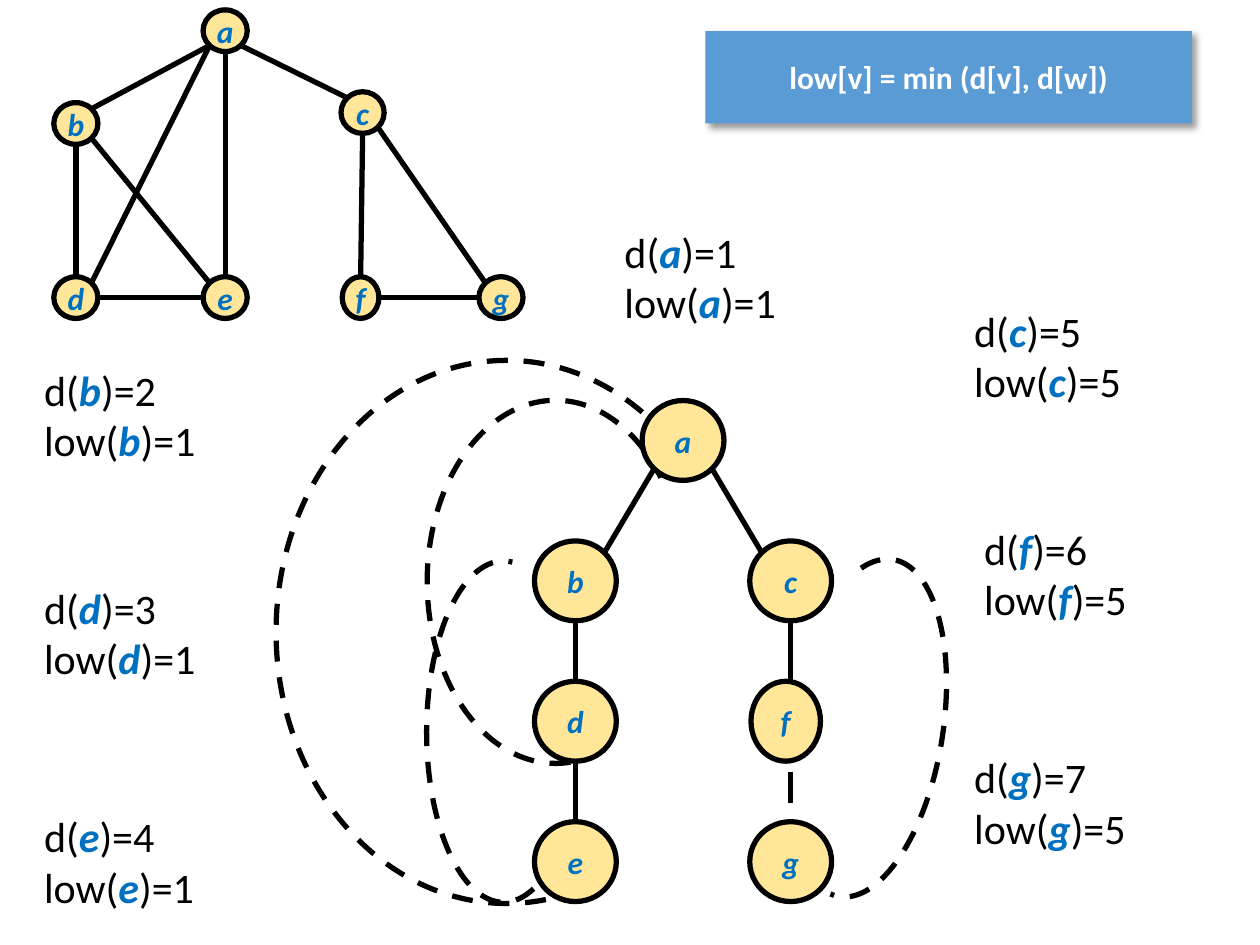
import itertools
import math

import lxml.etree
import pptx
import pptx.dml.color
import pptx.enum.dml
import pptx.enum.shapes
import pptx.enum.text
import pptx.oxml.ns
import pptx.util

Cm = pptx.util.Cm
Pt = pptx.util.Pt
qn = pptx.oxml.ns.qn

COLOURS = {
    "ink": "000000",
    "letter": "0070C0",
    "node": "FFE699",
    "banner": "5B9BD5",
    "banner_text": "FFFFFF",
}
FONT = "Calibri"
E, SE, S, SW, W, NW, N, NE = range(0, 360, 45)

TREE_TOP, TREE_STEP = 8.88, 2.83
TREE_NODES = {
    "a": (13.77, 0, 1.65),
    "b": (11.6, 1, 1.65),
    "d": (11.6, 2, 1.65),
    "e": (11.6, 3, 1.65),
    "c": (15.94, 1, 1.65),
    "f": (15.84, 2, 1.4),
    "g": (15.94, 3, 1.65),
}
TREE_EDGES = [("a", SW, "b", NE), ("b", S, "d", N), ("d", S, "e", N), ("a", SE, "c", NW)]
TREE_STUBS = [(15.94, 12.54, 13.76), (15.94, 15.57, 16.18)]
BACK_EDGES = [
    (3.99, 8.84, 10.95, 7.8, 4.65, -18.8, 222.7, 90),
    (7.31, 9.37, 7.32, 4.72, 2.59, -22.5, 235, 90),
    (6.24, 13.67, 6.88, 2.16, 1.55, -23, 186.6, 90),
    (14.48, 13.67, 6.88, 2.16, 1.55, -23, 186.6, 279.1),
]

GRAPH_NODES = {
    "a": (4.54, 0.62, 0.89),
    "b": (1.53, 2.49, 0.89),
    "c": (7.31, 2.27, 0.87),
    "d": (1.53, 6, 0.89),
    "e": (4.54, 6, 0.89),
    "f": (7.27, 6, 0.74),
    "g": (10.1, 6, 0.89),
}
GRAPH_EDGES = [
    ("b", S, "d", N), ("a", S, "e", N), ("d", E, "e", W), ("b", NE, "a", SW),
    ("d", NE, "a", SW), ("b", SE, "e", NW), ("a", SE, "c", NW), ("c", S, "f", N),
    ("f", E, "g", W), ("c", SE, "g", NW),
]

LABELS = [
    ("a", 1, 1, 12.34, 4.44),
    ("b", 2, 1, 0.64, 7.22),
    ("c", 5, 5, 19.39, 6.03),
    ("d", 3, 1, 0.64, 11.62),
    ("e", 4, 1, 0.64, 16.22),
    ("f", 6, 5, 19.59, 10.43),
    ("g", 7, 5, 19.39, 15.03),
]


def rgb(name):
    return pptx.dml.color.RGBColor.from_string(COLOURS[name])


def add_run(paragraph, text, size, colour, bold=False, italic=False):
    run = paragraph.add_run()
    run.text = text
    run.font.name = FONT
    run.font.size = Pt(size)
    run.font.bold = bold
    run.font.italic = italic
    run.font.color.rgb = rgb(colour)


def style_line(line):
    line.color.rgb = rgb("ink")
    line.width = Pt(3)


def add_node(group, letter, x, y, width, height):
    node = group.shapes.add_shape(
        pptx.enum.shapes.MSO_SHAPE.OVAL,
        Cm(x - width / 2), Cm(y - height / 2), Cm(width), Cm(height))
    node.shadow.inherit = False
    node.fill.solid()
    node.fill.fore_color.rgb = rgb("node")
    style_line(node.line)
    frame = node.text_frame
    frame.word_wrap = False
    frame.vertical_anchor = pptx.enum.text.MSO_ANCHOR.MIDDLE
    frame.paragraphs[0].alignment = pptx.enum.text.PP_ALIGN.CENTER
    add_run(frame.paragraphs[0], letter, 18, "letter", True, True)


def add_edge(group, start, end):
    edge = group.shapes.add_connector(
        pptx.enum.shapes.MSO_CONNECTOR.STRAIGHT,
        Cm(start[0]), Cm(start[1]), Cm(end[0]), Cm(end[1]))
    style_line(edge.line)
    lxml.etree.SubElement(edge._element.spPr, qn("a:effectLst"))


def rim_point(x, y, width, height, angle):
    turn = math.radians(angle)
    return x + width / 2 * math.cos(turn), y + height / 2 * math.sin(turn)


def add_network(group, nodes, edges, height):
    for letter, (x, y, width) in nodes.items():
        add_node(group, letter, x, y, width, height)
    for first, leave, second, arrive in edges:
        add_edge(group, rim_point(*nodes[first], height, leave),
                 rim_point(*nodes[second], height, arrive))


def add_path_step(outline, tag, points):
    step = lxml.etree.SubElement(outline, qn(tag))
    for x, y in points:
        lxml.etree.SubElement(step, qn("a:pt"), x=str(int(Cm(x))), y=str(int(Cm(y))))


def trace_arc(outline, ellipse, angles):
    x, y, width, height = ellipse
    add_path_step(outline, "a:moveTo", [rim_point(*ellipse, angles[0])])
    for start, end in itertools.pairwise(angles):
        pull = 4 / 3 * math.tan(math.radians(end - start) / 4)
        x1, y1 = rim_point(*ellipse, start)
        x2, y2 = rim_point(*ellipse, end)
        dx1, dy1 = rim_point(0, 0, width * pull, height * pull, start + 90)
        dx2, dy2 = rim_point(0, 0, width * pull, height * pull, end + 90)
        add_path_step(outline, "a:cubicBezTo",
                      [(x1 + dx1, y1 + dy1), (x2 - dx2, y2 - dy2), (x2, y2)])


def add_back_edge(group, left, top, width, height, radius, start, end, rotation):
    builder = group.shapes.build_freeform(Cm(left), Cm(top))
    builder.add_line_segments([(Cm(left + width), Cm(top + height))], close=False)
    curve = builder.convert_to_shape()
    outline = next(curve._element.iter(qn("a:path")))
    for step in list(outline):
        outline.remove(step)
    trace_arc(outline, (width / 2, height - radius, width, 2 * radius),
              (start, 0, 90, 180, end))
    curve.shadow.inherit = False
    curve.fill.background()
    style_line(curve.line)
    curve.line.dash_style = pptx.enum.dml.MSO_LINE.DASH
    curve.rotation = rotation


def add_label(group, letter, depth, low, left, top):
    label = group.shapes.add_textbox(Cm(left), Cm(top), Cm(5.59), Cm(2.31))
    frame = label.text_frame
    frame.word_wrap = True
    frame.auto_size = pptx.enum.text.MSO_AUTO_SIZE.SHAPE_TO_FIT_TEXT
    lines = (frame.paragraphs[0], frame.add_paragraph())
    for line, name, value in zip(lines, ("d", "low"), (depth, low)):
        add_run(line, f"{name}(", 24, "ink")
        add_run(line, letter, 24, "letter", True, True)
        add_run(line, f")={value}", 24, "ink")


def add_banner(slide, text):
    banner = slide.shapes.add_shape(
        pptx.enum.shapes.MSO_SHAPE.RECTANGLE, Cm(14.22), Cm(0.63), Cm(9.81), Cm(1.86))
    banner.fill.solid()
    banner.fill.fore_color.rgb = rgb("banner")
    banner.line.fill.background()
    banner.shadow.inherit = False
    effects = banner._element.spPr.find(qn("a:effectLst"))
    shadow = lxml.etree.SubElement(
        effects, qn("a:outerShdw"), blurRad=str(Pt(4)), dist=str(Pt(3)),
        dir="2700000", algn="tl", rotWithShape="0")
    tint = lxml.etree.SubElement(shadow, qn("a:srgbClr"), val=COLOURS["ink"])
    lxml.etree.SubElement(tint, qn("a:alpha"), val="40000")
    frame = banner.text_frame
    frame.word_wrap = True
    frame.vertical_anchor = pptx.enum.text.MSO_ANCHOR.MIDDLE
    frame.paragraphs[0].alignment = pptx.enum.text.PP_ALIGN.CENTER
    add_run(frame.paragraphs[0], text, 18, "banner_text", True)


def main():
    deck = pptx.Presentation()
    deck.slide_width, deck.slide_height = Cm(25.4), Cm(19.05)
    slide = deck.slides.add_slide(deck.slide_layouts[6])

    tree = slide.shapes.add_group_shape()
    for back_edge in BACK_EDGES:
        add_back_edge(tree, *back_edge)
    tree_nodes = {letter: (x, TREE_TOP + level * TREE_STEP, width)
                  for letter, (x, level, width) in TREE_NODES.items()}
    add_network(tree, tree_nodes, TREE_EDGES, 1.61)
    for x, top, bottom in TREE_STUBS:
        add_edge(tree, (x, top), (x, bottom))
    for label in LABELS:
        add_label(tree, *label)

    graph = slide.shapes.add_group_shape()
    add_network(graph, GRAPH_NODES, GRAPH_EDGES, 0.84)
    add_banner(slide, "low[v] = min (d[v], d[w])")
    deck.save("out.pptx")


main()
